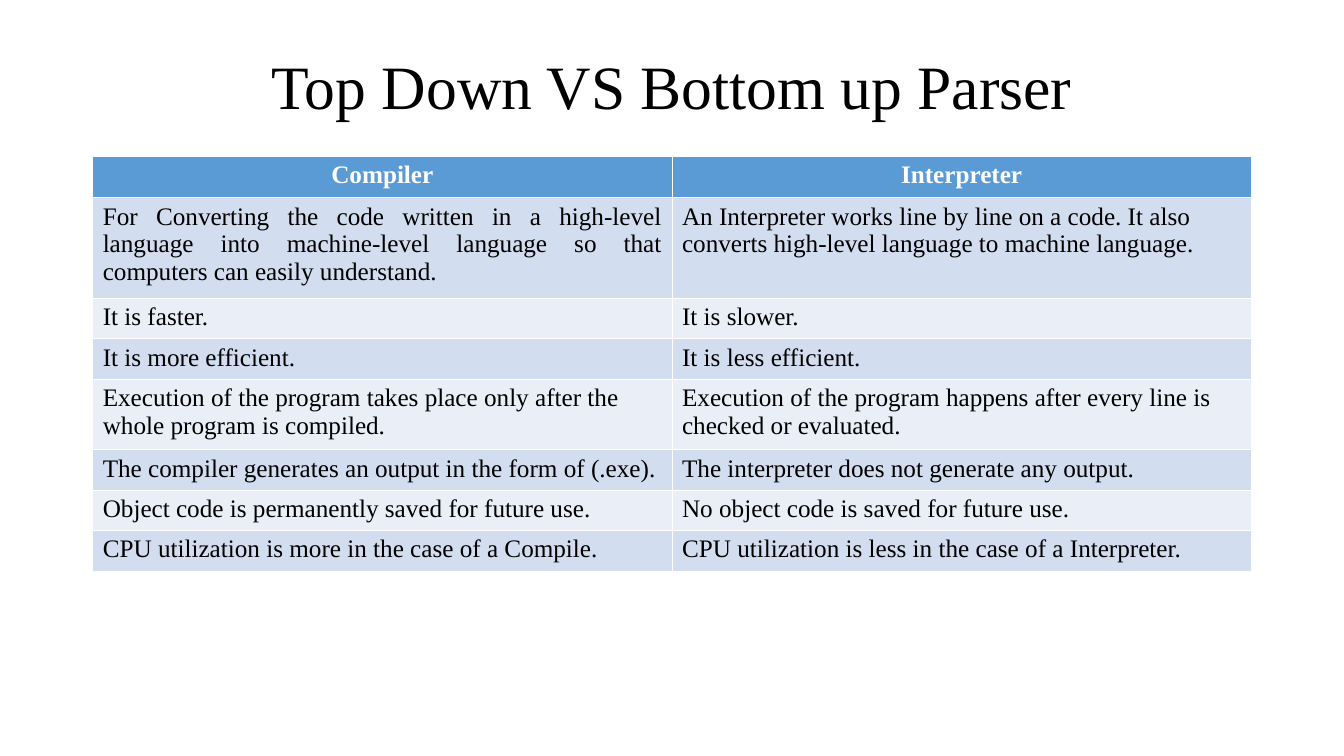
from lxml import etree
from pptx import Presentation
from pptx.dml.color import RGBColor
from pptx.enum.text import MSO_ANCHOR, PP_ALIGN
from pptx.oxml.ns import qn
from pptx.util import Inches, Pt

CENTER, JUSTIFY, LEFT = PP_ALIGN.CENTER, PP_ALIGN.JUSTIFY, PP_ALIGN.LEFT
MIDDLE = MSO_ANCHOR.MIDDLE
BLACK = RGBColor(0x00, 0x00, 0x00)
WHITE = RGBColor(0xFF, 0xFF, 0xFF)
HEADER_BLUE = RGBColor(0x5B, 0x9B, 0xD5)
BAND_DARK = RGBColor(0xD2, 0xDE, 0xEF)
BAND_LIGHT = RGBColor(0xEA, 0xEF, 0xF7)
FONT = "Times New Roman"
THIN, THICK = Pt(0.45), Pt(1.47)

# Row height in inches, compiler text, interpreter text
ROWS = [
    (0.41, "Compiler", "Interpreter"),
    (1.0, "For Converting the code written in a high-level language into "
          "machine-level language so that computers can easily understand.",
     "An Interpreter works line by line on a code. It also converts "
     "high-level language to machine language."),
    (0.4, "It is faster.", "It is slower."),
    (0.4, "It is more efficient.", "It is less efficient."),
    (0.7, "Execution of the program takes place only after the whole program is compiled.",
     "Execution of the program happens after every line is checked or evaluated."),
    (0.4, "The compiler generates an output in the form of (.exe).",
     "The interpreter does not generate any output."),
    (0.4, "Object code is permanently saved for future use.",
     "No object code is saved for future use."),
    (0.41, "CPU utilization is more in the case of a Compile.",
     "CPU utilization is less in the case of a Interpreter."),
]


def set_borders(cell, top, bottom):
    properties = cell._tc.get_or_add_tcPr()
    sides = [("a:lnL", THIN), ("a:lnR", THIN), ("a:lnT", top), ("a:lnB", bottom)]
    for position, (tag, width) in enumerate(sides):
        line = etree.Element(qn(tag), w=str(int(width)))
        fill = etree.SubElement(line, qn("a:solidFill"))
        etree.SubElement(fill, qn("a:srgbClr"), val=str(WHITE))
        properties.insert(position, line)


presentation = Presentation()
presentation.slide_width = Inches(13.34)
presentation.slide_height = Inches(7.5)
slide = presentation.slides.add_slide(presentation.slide_layouts[5])

# Title
title = slide.shapes.title
title.left, title.top = Inches(0.92), Inches(0.4)
title.width, title.height = Inches(11.5), Inches(0.97)
title.text_frame.text = "Top Down VS Bottom up Parser"
title.text_frame.vertical_anchor = MIDDLE
paragraph = title.text_frame.paragraphs[0]
paragraph.alignment = CENTER
paragraph.line_spacing = 0.9
paragraph.font.name = FONT
paragraph.font.size = Pt(44)
paragraph.font.color.rgb = BLACK

# Comparison table
table = slide.shapes.add_table(
    len(ROWS), 2, Inches(0.92), Inches(1.55), Inches(11.5), Inches(4.12)).table
for row_index, (height, *texts) in enumerate(ROWS):
    table.rows[row_index].height = Inches(height)
    is_header = row_index == 0
    if is_header:
        background = HEADER_BLUE
    else:
        background = BAND_DARK if row_index % 2 else BAND_LIGHT
    for column_index, text in enumerate(texts):
        cell = table.cell(row_index, column_index)
        cell.text = text
        cell.fill.solid()
        cell.fill.fore_color.rgb = background
        set_borders(cell, THICK if row_index == 1 else THIN,
                    THICK if is_header else THIN)
        paragraph = cell.text_frame.paragraphs[0]
        paragraph.alignment = CENTER if is_header else LEFT
        paragraph.font.name = FONT
        paragraph.font.size = Pt(18)
        paragraph.font.bold = is_header
        paragraph.font.color.rgb = WHITE if is_header else BLACK

# The long compiler definition is justified
table.cell(1, 0).text_frame.paragraphs[0].alignment = JUSTIFY

presentation.save("out.pptx")
